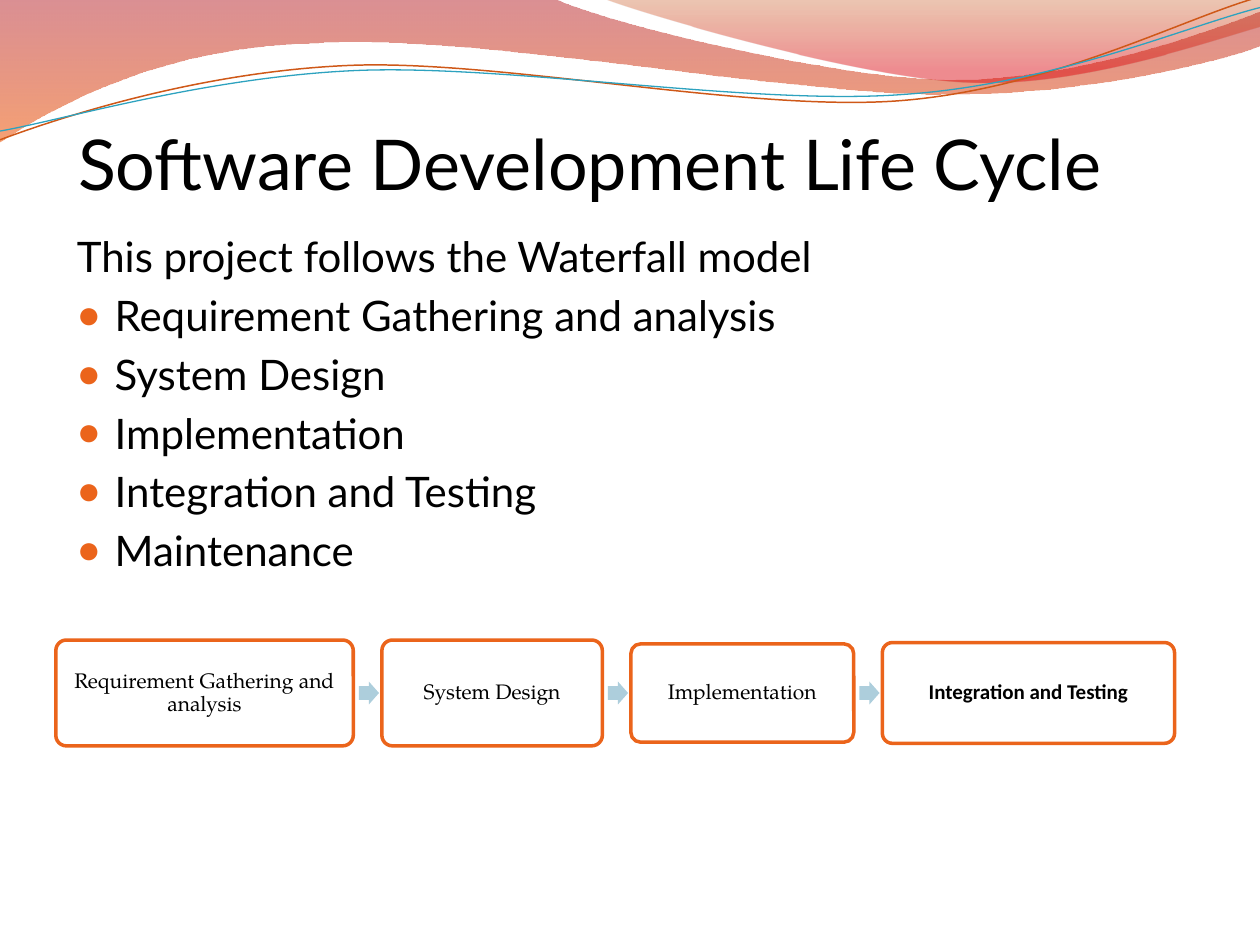
"""Build the Software Development Life Cycle slide with its waterfall flow."""
import math

from lxml import etree
from pptx import Presentation
from pptx import util as u
from pptx.dml.color import RGBColor
from pptx.enum import shapes, text
from pptx.oxml.ns import qn

COLORS = {"text": "000000", "accent": "EB641B", "arrow": "ADCEDC", "box": "FFFFFF",
          "crimson": "AF0911", "orange": "EE5300", "rust": "C24400", "red": "DC000B",
          "copper": "CF5818", "teal": "2DA2BF"}
TITLE = "Software Development Life Cycle"
INTRO = "This project follows the Waterfall model"
PHASES = ["Requirement Gathering and analysis", "System Design", "Implementation",
          "Integration and Testing", "Maintenance"]
SERIF = {"name": "TeX Gyre Pagella", "size": u.Pt(12), "bold": False}
SANS = {"name": "Calibri", "size": u.Pt(12), "bold": True}
STEPS = [(170, 60.5, SERIF), (126, 60.5, SERIF), (127.4, 56.2, SERIF), (167, 57.6, SANS)]
FLOW_LEFT, FLOW_MIDDLE, FLOW_GAP = 31.9, 396, 16.3
ARROW_WIDTH, ARROW_HEIGHT, ARROW_OFFSET = 11.5, 13, 3.2
STRAND_TILT = -2.7

BANDS = [
    ((-0.7, -0.7, 721.4, 82.1),
     [(0, 0), (316.8, -0.7), (342.7, 12.2, 478.1, 45.4, 545.8, 45.4),
      (614.2, 45.4, 689.8, 18.7, 720, 6.5), (720.7, 25.9),
      (707.8, 31.7, 626.4, 54.7, 537.1, 54), (447.8, 54, 275, 20.2, 185, 24.5),
      (92.9, 25.9, 33.1, 59.8, -0.7, 81.4), (0, 0)],
     [("crimson", 0, 45), ("orange", 1, 55)]),
    ((344.9, -0.7, 375.1, 50.4),
     [(344.9, -0.7), (366.5, 7.9, 491, 44.6, 553.7, 46.8),
      (616.3, 49.7, 691.9, 23, 720, 15.1), (720, 0), (344.9, -0.7)],
     [("rust", 0, 30), ("red", 0.8, 45)]),
]
STRANDS = [
    ((-1.4, 15.8, 721.4, 51.1),
     [(0, 79.9), (34.6, 67, 113.8, 41, 199.4, 37.4), (284.4, 33.8, 427, 64.1, 513.4, 57.6),
      (599.8, 51.1, 675.4, 10.8, 718.6, -1.4)], "copper", 0.85),
    ((-1.4, 21.6, 722.2, 41.8),
     [(0, 74.9), (33.8, 69.1, 118.1, 43.9, 203.8, 40.3), (290.2, 36.7, 429.8, 60.5, 516.2, 54),
      (601.9, 48.2, 677.5, 15.1, 720, 4.3)], "teal", 0.75),
]


def rgb(name):
    return RGBColor.from_string(COLORS[name])


def apply(target, values):
    for key, value in values.items():
        setattr(target, key, value)


def place(shape, left, top, width, height):
    apply(shape, {"left": u.Pt(left), "top": u.Pt(top),
                  "width": u.Pt(width), "height": u.Pt(height)})


def add_curve(page, bounds, segments, tilt=0):
    left, top, width, height = bounds
    builder = page.shapes.build_freeform(u.Pt(left), u.Pt(top))
    builder.add_line_segments([(u.Pt(left + width), u.Pt(top + height))], close=False)
    curve = builder.convert_to_shape()
    apply(curve, {"rotation": tilt % 360})
    curve.shadow.inherit = False
    outline = next(curve._element.iter(qn("a:path")))
    for child in list(outline):
        outline.remove(child)
    cos, sin = math.cos(math.radians(-tilt)), math.sin(math.radians(-tilt))
    for index, segment in enumerate(segments):
        kind = "cubicBezTo" if len(segment) == 6 else "lnTo" if index else "moveTo"
        step = etree.SubElement(outline, qn("a:" + kind))
        for x, y in zip(segment[::2], segment[1::2]):
            across, down = x - left - width / 2, y - top - height / 2
            etree.SubElement(step, qn("a:pt"),
                             x=str(u.Pt(width / 2 + across * cos - down * sin)),
                             y=str(u.Pt(height / 2 + across * sin + down * cos)))
    if segments[0] == segments[-1]:
        etree.SubElement(outline, qn("a:close"))
    return curve


def add_band(page, bounds, segments, stops):
    band = add_curve(page, bounds, segments)
    band.line.fill.background()
    band.fill.gradient()
    band.fill.gradient_angle = 270
    for stop, (color, position, _) in zip(band.fill.gradient_stops, stops):
        stop.color.rgb = rgb(color)
        stop.position = position
    tints = list(band._element.iter(qn("a:srgbClr")))
    for tint, (_, _, opacity) in zip(tints, stops):
        etree.SubElement(tint, qn("a:alpha"), val=str(opacity * 1000))


def add_strand(page, bounds, segments, color, width):
    strand = add_curve(page, bounds, segments, STRAND_TILT)
    strand.fill.background()
    strand.line.color.rgb = rgb(color)
    strand.line.width = u.Pt(width)


def write(para, wording, font):
    span = para.add_run()
    span.text = wording
    apply(span.font, font)
    span.font.color.rgb = rgb("text")


def set_bullet(para, bulleted):
    props = para._p.get_or_add_pPr()
    props.set("marL", str(u.Pt(21.6) if bulleted else 0))
    props.set("indent", str(-u.Pt(21.6)))
    if not bulleted:
        etree.SubElement(props, qn("a:buNone"))
        return
    tint = etree.SubElement(props, qn("a:buClr"))
    etree.SubElement(tint, qn("a:srgbClr"), val=COLORS["accent"])
    etree.SubElement(props, qn("a:buSzPct"), val="95000")
    etree.SubElement(props, qn("a:buChar"), char="●")


def fill_title(title):
    place(title, 36.7, 83.3, 648, 33.8)
    apply(title.text_frame, {"margin_left": u.Pt(8), "margin_right": 0, "margin_bottom": 0,
                             "vertical_anchor": text.MSO_ANCHOR.BOTTOM,
                             "auto_size": text.MSO_AUTO_SIZE.NONE})
    para = title.text_frame.paragraphs[0]
    para.alignment = text.PP_ALIGN.LEFT
    write(para, TITLE, {"name": "Lato", "size": u.Pt(40)})


def fill_body(body):
    place(body, 36.7, 128.2, 648, 394.6)
    frame = body.text_frame
    frame.auto_size = text.MSO_AUTO_SIZE.NONE
    for index, wording in enumerate([INTRO] + PHASES):
        para = frame.add_paragraph() if index else frame.paragraphs[0]
        para.space_before = u.Pt(4.8)
        set_bullet(para, index > 0)
        write(para, wording, {"name": "Lato", "size": u.Pt(24)})


def add_block(page, kind, left, width, height, color, adjustments):
    block = page.shapes.add_shape(kind, u.Pt(left), u.Pt(FLOW_MIDDLE - height / 2),
                                  u.Pt(width), u.Pt(height))
    block.shadow.inherit = False
    block.fill.solid()
    block.fill.fore_color.rgb = rgb(color)
    block.line.fill.background()
    for index, value in enumerate(adjustments):
        block.adjustments[index] = value
    return block


def add_flow(page):
    left = FLOW_LEFT
    for index, (wording, (width, height, font)) in enumerate(zip(PHASES, STEPS)):
        if index:
            add_block(page, shapes.MSO_SHAPE.RIGHT_ARROW, left - FLOW_GAP + ARROW_OFFSET,
                      ARROW_WIDTH, ARROW_HEIGHT, "arrow", (0.6, 0.5))
        box = add_block(page, shapes.MSO_SHAPE.ROUNDED_RECTANGLE, left, width, height,
                        "box", (0.1,))
        box.line.color.rgb = rgb("accent")
        box.line.width = u.Pt(2)
        margins = {f"margin_{side}": u.Pt(3.6) for side in ("left", "top", "right", "bottom")}
        apply(box.text_frame, {**margins, "word_wrap": True,
                               "vertical_anchor": text.MSO_ANCHOR.MIDDLE})
        para = box.text_frame.paragraphs[0]
        apply(para, {"alignment": text.PP_ALIGN.CENTER, "line_spacing": 0.9})
        write(para, wording, font)
        left += width + FLOW_GAP


def main():
    deck = Presentation()
    apply(deck, {"slide_width": u.Pt(720), "slide_height": u.Pt(540)})
    page = deck.slides.add_slide(deck.slide_layouts[1])
    for band in BANDS:
        add_band(page, *band)
    for strand in STRANDS:
        add_strand(page, *strand)
    fill_title(page.shapes.title)
    fill_body(page.placeholders[1])
    add_flow(page)
    deck.save("out.pptx")


if __name__ == "__main__":
    main()
